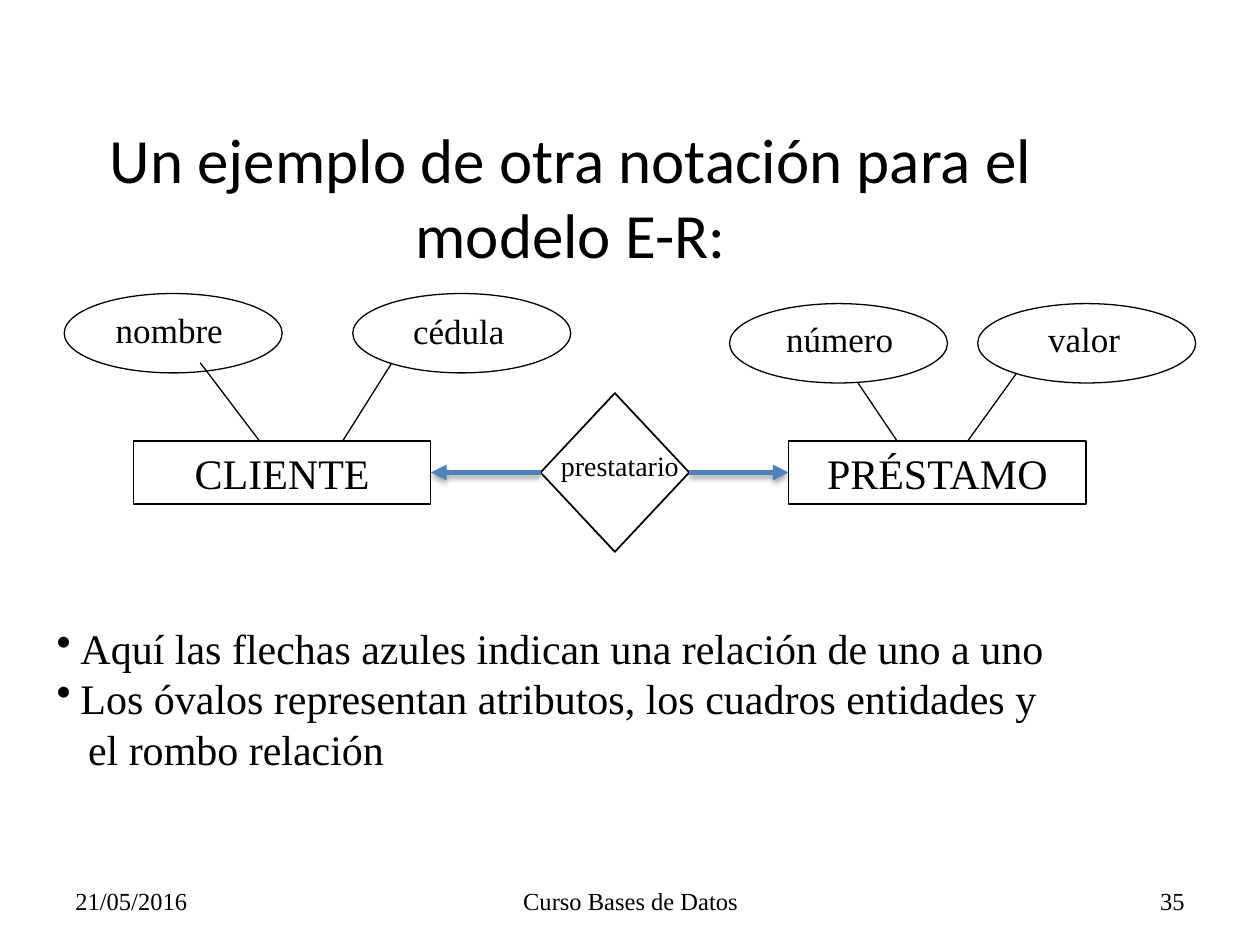
"""Build a slide with an entity-relationship diagram in an alternative notation."""
from lxml import etree
from pptx import Presentation
from pptx.dml.color import RGBColor
from pptx.enum.shapes import MSO_CONNECTOR as Link, MSO_SHAPE as Kind
from pptx.enum.text import MSO_ANCHOR as Anchor, PP_ALIGN as Align
from pptx.oxml import parse_xml
from pptx.oxml.ns import nsdecls, qn
from pptx.util import Inches, Pt

BLACK = RGBColor(0x00, 0x00, 0x00)
BLUE = RGBColor(0x4F, 0x81, 0xBD)
SERIF = "Times New Roman"

deck = Presentation()
deck.slide_width, deck.slide_height = Inches(10), Inches(7.5)
slide = deck.slides.add_slide(deck.slide_layouts[6])
shapes = slide.shapes


def write(para, text, size, align=Align.LEFT, face=SERIF):
    para.alignment = align
    run = para.add_run()
    run.text = text
    run.font.size, run.font.name = Pt(size), face
    run.font.color.rgb = BLACK


def outline(kind, box, width=0.75):
    shape = shapes.add_shape(kind, *map(Inches, box))
    shape.shadow.inherit = False
    shape.fill.background()
    shape.line.color.rgb = BLACK
    shape.line.width = Pt(width)
    return shape


labels = [
    ("21/05/2016", (0.5, 6.95, 2.33, 0.4), 14, Align.LEFT, SERIF),
    ("Curso Bases de Datos", (3.42, 6.95, 3.17, 0.4), 14, Align.CENTER, SERIF),
    ("35", (7.17, 6.95, 2.33, 0.4), 14, Align.RIGHT, SERIF),
    ("Un ejemplo de otra notación para el modelo E-R:",
     (0.28, 0.93, 8.5, 1.25), 36, Align.CENTER, "Calibri"),
    ("prestatario", (4.21, 3.51, 1.42, 0.37), 16, Align.CENTER, SERIF),
]
for text, box, size, align, face in labels:
    frame = shapes.add_textbox(*map(Inches, box)).text_frame
    frame.word_wrap = True
    frame.vertical_anchor = Anchor.MIDDLE
    write(frame.paragraphs[0], text, size, align, face)

boxes = []
for name, left in [("CLIENTE", 1.06), ("PRÉSTAMO", 6.26)]:
    box = outline(Kind.RECTANGLE, (left, 3.5, 2.36, 0.5))
    box.text_frame.vertical_anchor = Anchor.TOP
    write(box.text_frame.paragraphs[0], name, 24, Align.CENTER)
    boxes.append(box)
client, loan = boxes
rhomb = outline(Kind.FLOWCHART_DECISION, (4.29, 3.12, 1.18, 1.26), 1)

fields = [
    ("nombre", 0.51, 2.33, (0.82, 2.4, 1.05), (1.59, 2.88, 2.06)),
    ("cédula", 2.8, 2.33, (3.18, 2.41, 0.93), (3.11, 2.88, 2.72)),
    ("número", 5.79, 2.41, (6.14, 2.47, 1.05), (6.81, 3.04, 7.12)),
    ("valor", 7.76, 2.41, (8.22, 2.47, 0.77), (8.07, 2.96, 7.68)),
]
for name, left, top, place, (x, y, end) in fields:
    outline(Kind.OVAL, (left, top, 1.73, 0.63))
    frame = shapes.add_textbox(*map(Inches, (*place, 0.43))).text_frame
    frame.word_wrap = False
    write(frame.paragraphs[0], name, 20)
    line = shapes.add_connector(Link.STRAIGHT, *map(Inches, (x, y, end, 3.5)))
    line.line.color.rgb = BLACK
    line.line.width = Pt(0.75)
    etree.SubElement(line._element.spPr, qn("a:effectLst"))

for start, box, end in [(3, loan, 1), (1, client, 3)]:
    arrow = shapes.add_connector(Link.STRAIGHT, 0, 0, 0, 0)
    arrow.begin_connect(rhomb, start)
    arrow.end_connect(box, end)
    arrow.line.color.rgb = BLUE
    arrow.line.width = Pt(3)
    etree.SubElement(arrow.line._get_or_add_ln(), qn("a:tailEnd"), type="triangle")
    arrow._element.spPr.append(parse_xml(
        f'<a:effectLst {nsdecls("a")}><a:outerShdw blurRad="40000" dist="23000" '
        'dir="5400000" rotWithShape="0"><a:srgbClr val="000000">'
        '<a:alpha val="35000"/></a:srgbClr></a:outerShdw></a:effectLst>'))

notes = [
    ("Aquí las flechas azules indican una relación de uno a uno", True),
    ("Los óvalos representan atributos, los cuadros entidades y", True),
    ("el rombo relación", False),
]
frame = shapes.add_textbox(*map(Inches, (0.35, 4.89, 9.21, 1.31))).text_frame
frame.word_wrap = True
for i, (text, dot) in enumerate(notes):
    para = frame.add_paragraph() if i else frame.paragraphs[0]
    props = para._p.get_or_add_pPr()
    props.set("marL", str(Inches(0.19 if dot else 0.25)))
    if dot:
        props.set("indent", str(Inches(-0.19)))
        etree.SubElement(props, qn("a:buChar"), char="•")
    write(para, text, 24)

deck.save("out.pptx")
